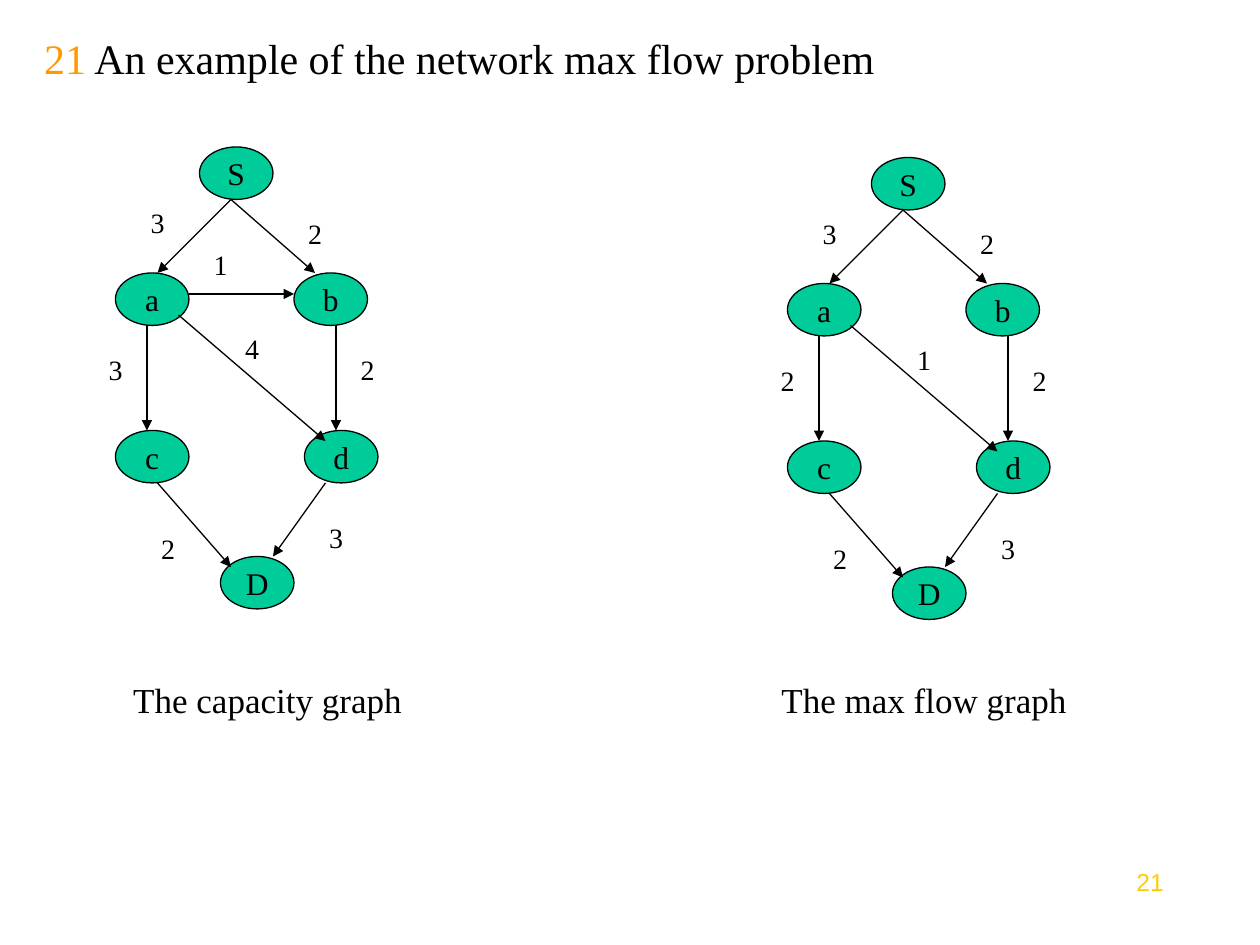
from pptx import Presentation
from pptx.dml.color import RGBColor
from pptx.enum.shapes import MSO_CONNECTOR, MSO_SHAPE
from pptx.enum.text import MSO_ANCHOR, MSO_AUTO_SIZE, PP_ALIGN
from pptx.oxml.ns import qn
from pptx.util import Cm, Pt
from lxml import etree

OVAL, STRAIGHT = MSO_SHAPE.OVAL, MSO_CONNECTOR.STRAIGHT
LEFT, CENTER, RIGHT = PP_ALIGN.LEFT, PP_ALIGN.CENTER, PP_ALIGN.RIGHT
MIDDLE = MSO_ANCHOR.MIDDLE
FIT_SHAPE = MSO_AUTO_SIZE.SHAPE_TO_FIT_TEXT

BLACK = RGBColor(0x00, 0x00, 0x00)
GREEN = RGBColor(0x00, 0xCC, 0x99)
ORANGE = RGBColor(0xFF, 0x99, 0x00)
YELLOW = RGBColor(0xFF, 0xCC, 0x00)
SERIF, SANS = "Times New Roman", "Arial"

GRID = Cm(2.54) // 12  # both graphs sit on a grid of twelve steps to the inch
LINE_WIDTH = Pt(0.75)

# Node name: left and top in grid steps
NODES = {"S": (19, 14), "a": (11, 26), "b": (28, 26),
         "c": (11, 41), "d": (29, 41), "D": (21, 53)}
# Start, end and label corner in grid steps, then capacity and flow
EDGES = [
    ((22, 19), (15, 26), (13, 19), 3, 3),  # S to a
    ((22, 19), (30, 26), (28, 20), 2, 2),  # S to b
    ((14, 31), (14, 41), (9, 33), 3, 2),   # a to c
    ((32, 31), (32, 41), (33, 33), 2, 2),  # b to d
    ((18, 28), (28, 28), (19, 23), 1, 0),  # a to b
    ((15, 46), (22, 54), (14, 50), 2, 2),  # c to D
    ((31, 46), (26, 53), (30, 49), 3, 3),  # d to D
    ((17, 30), (31, 42), (22, 31), 4, 1),  # a to d
]


def write(box, spans, size, align=CENTER, font=SERIF):
    """Fill the first paragraph with (text, colour) spans."""
    para = box.text_frame.paragraphs[0]
    para.alignment = align
    for text, color in spans:
        span = para.add_run()
        span.text = text
        span.font.name = font
        span.font.size = Pt(size)
        span.font.color.rgb = color
    return para


def add_text(shapes, left, top, width, height, spans, size, **style):
    box = shapes.add_textbox(left, top, width, height)
    box.text_frame.word_wrap = True
    write(box, spans, size, **style)
    return box


deck = Presentation()
deck.slide_width, deck.slide_height = Cm(25.4), Cm(19.05)
page = deck.slides.add_slide(deck.slide_layouts[6])

add_text(page.shapes, Cm(22.01), Cm(17.36), Cm(1.7), Cm(1.32),
         [("21", YELLOW)], 14, align=RIGHT, font=SANS)
title = add_text(
    page.shapes, Cm(0.64), Cm(0.64), Cm(21.59), Cm(1.06),
    [("21", ORANGE), (" An example of the network max flow problem", BLACK)],
    24, align=LEFT)
title.text_frame.vertical_anchor = MIDDLE

capacities = [edge[3] for edge in EDGES]
flows = [edge[4] for edge in EDGES]
for shift_x, shift_y, values in ((0, 0, capacities), (64, 1, flows)):
    graph = page.shapes.add_group_shape().shapes

    for name, (x, y) in NODES.items():
        node = graph.add_shape(OVAL, (x + shift_x) * GRID, (y + shift_y) * GRID,
                               7 * GRID, 5 * GRID)
        node.shadow.inherit = False
        node.fill.solid()
        node.fill.fore_color.rgb = GREEN
        node.line.color.rgb = BLACK
        node.line.width = LINE_WIDTH
        node.text_frame.word_wrap = False
        node.text_frame.vertical_anchor = MIDDLE
        write(node, [(name, BLACK)], 18)

    used = [(edge, value) for edge, value in zip(EDGES, values) if value]
    for ((x1, y1), (x2, y2), *_), _ in used:
        arrow = graph.add_connector(
            STRAIGHT, (x1 + shift_x) * GRID, (y1 + shift_y) * GRID,
            (x2 + shift_x) * GRID, (y2 + shift_y) * GRID)
        arrow.line.color.rgb = BLACK
        arrow.line.width = LINE_WIDTH
        properties = arrow._element.spPr
        etree.SubElement(properties.find(qn("a:ln")), qn("a:tailEnd"), type="triangle")
        etree.SubElement(properties, qn("a:effectLst"))

    for (_, _, (x, y), *_), value in used:
        label = add_text(graph, (x + shift_x) * GRID, (y + shift_y) * GRID,
                         4 * GRID, Cm(0.94), [(str(value), BLACK)], 16)
        label.text_frame.auto_size = FIT_SHAPE
        label.text_frame.paragraphs[0].space_before = Pt(10)

for left, width, text in ((1.69, 7.41, "The capacity graph"),
                          (14.61, 8.04, "The max flow graph")):
    caption = add_text(page.shapes, Cm(left), Cm(13.55), Cm(width), Cm(1.11),
                       [(text, BLACK)], 20)
    caption.text_frame.auto_size = FIT_SHAPE
    caption.text_frame.paragraphs[0].space_before = Pt(12.5)

deck.save("out.pptx")
